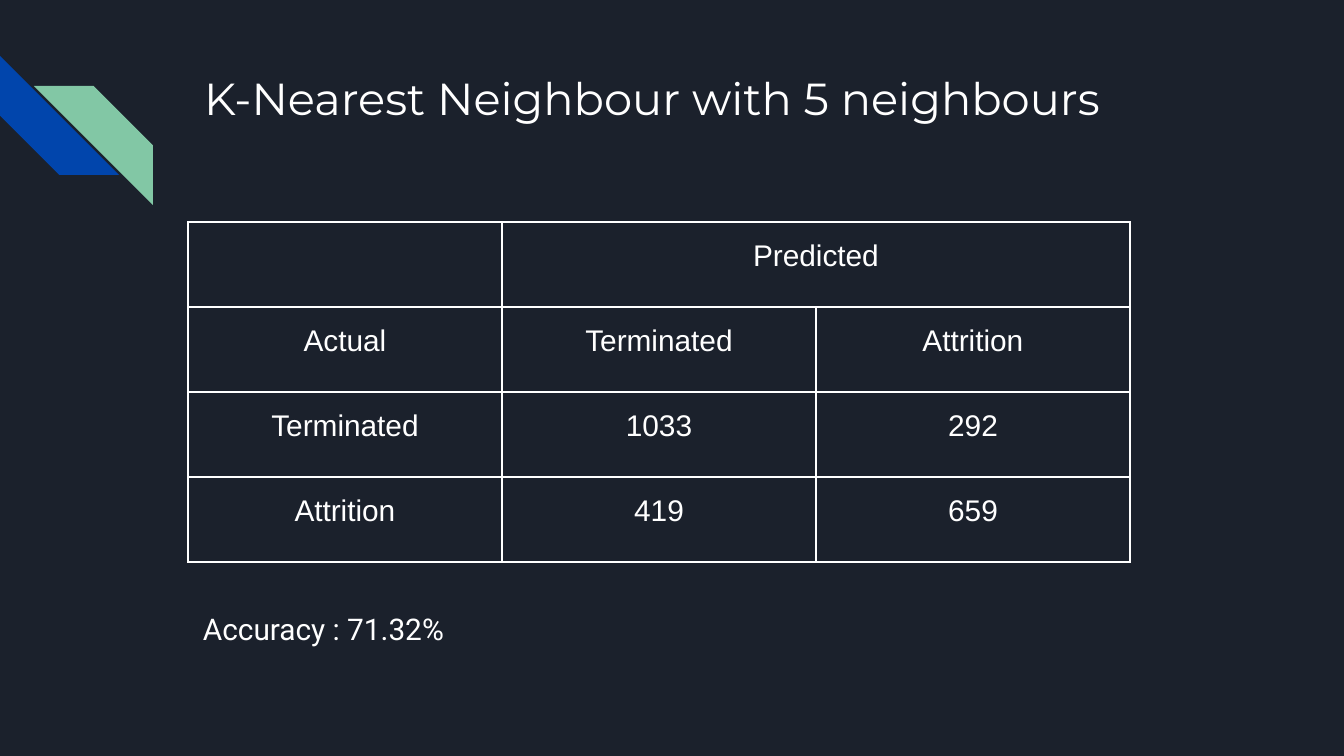
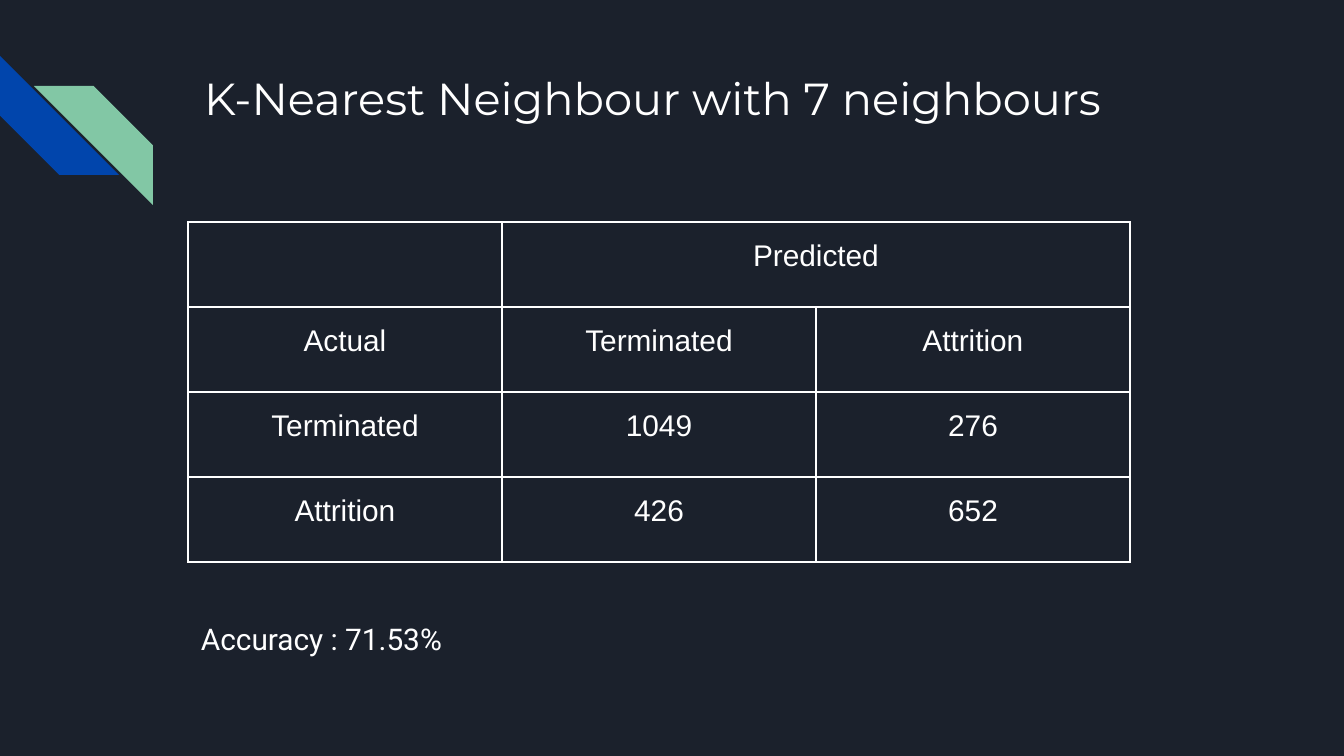
from lxml import etree
from pptx import Presentation
from pptx.dml.color import RGBColor
from pptx.enum.shapes import MSO_SHAPE
from pptx.enum.text import MSO_ANCHOR, MSO_AUTO_SIZE, PP_ALIGN
from pptx.oxml.ns import qn
from pptx.util import Pt

STRIPE = MSO_SHAPE.DIAGONAL_STRIPE
TOP = MSO_ANCHOR.TOP
LEFT, CENTER = PP_ALIGN.LEFT, PP_ALIGN.CENTER
NO_AUTOFIT = MSO_AUTO_SIZE.NONE

COLORS = {"background": "1B212C", "blue": "0145AC", "green": "82C7A5", "white": "FFFFFF"}
TITLE_FONT, TABLE_FONT, NOTE_FONT = "Montserrat", "Arial", "Roboto"
TITLE_LAYOUT = 5
INSET = 13
CELL_INSET = 9
BORDER = Pt(1)

# Boxes are left, top, width, height in px
SLIDE_SIZE = (1344, 756)
STRIPES_BOX = (0, 56, 153, 149)
TITLE_BOX = (191, 58, 1035, 134)
MATRIX_BOX = (188, 222, 942, 340)

RESULTS = [
    {
        "title": "K-Nearest Neighbour with 5 neighbours",
        "counts": [("1033", "292"), ("419", "659")],
        "accuracy": "Accuracy : 71.32%",
        "accuracy_box": (190, 598, 941, 101),
    },
    {
        "title": "K-Nearest Neighbour with 7 neighbours",
        "counts": [("1049", "276"), ("426", "652")],
        "accuracy": "Accuracy : 71.53%",
        "accuracy_box": (188, 608, 941, 108),
    },
]


def px(length):
    return round(length * 914400 / 134.4)


def emu(box):
    return [px(length) for length in box]


def color(name):
    return RGBColor.from_string(COLORS[name])


def write(frame, text, font, size, align=LEFT):
    paragraph = frame.paragraphs[0]
    paragraph.alignment = align
    run = paragraph.add_run()
    run.text = text
    run.font.name = font
    run.font.size = Pt(size)
    run.font.color.rgb = color("white")
    return paragraph


def set_frame(frame):
    frame.word_wrap = True
    frame.auto_size = NO_AUTOFIT
    frame.vertical_anchor = TOP
    frame.margin_left = frame.margin_right = px(INSET)
    frame.margin_top = frame.margin_bottom = px(INSET)


def add_stripes(slide, box):
    left, top, width, height = box
    side = 119

    def add_stripe(x, y, fill):
        stripe = slide.shapes.add_shape(STRIPE, *emu((x, y, side, side)))
        stripe.adjustments[0] = 0.5
        stripe.shadow.inherit = False
        stripe.fill.solid()
        stripe.fill.fore_color.rgb = color(fill)
        stripe.line.fill.background()
        return stripe

    add_stripe(left, top, "blue").rotation = 270
    green = add_stripe(left + width - side, top + height - side, "green")
    green._element.spPr.xfrm.set("flipH", "1")


def set_title(slide, box, text):
    title = slide.shapes.title
    title.left, title.top, title.width, title.height = emu(box)
    set_frame(title.text_frame)
    write(title.text_frame, text, TITLE_FONT, 24)


def add_borders(cell):
    properties = cell._tc.get_or_add_tcPr()
    for position, side in enumerate(("lnL", "lnR", "lnT", "lnB")):
        line = etree.Element(qn(f"a:{side}"), w=str(BORDER))
        fill = etree.SubElement(line, qn("a:solidFill"))
        etree.SubElement(fill, qn("a:srgbClr"), val=COLORS["white"])
        properties.insert(position, line)


def add_confusion_matrix(slide, box, counts):
    classes = ("Terminated", "Attrition")
    rows = [("", "Predicted", ""), ("Actual", *classes)]
    rows += [(name, *values) for name, values in zip(classes, counts)]

    matrix = slide.shapes.add_table(len(rows), len(rows[0]), *emu(box)).table
    matrix.first_row = matrix.horz_banding = False
    for r, row in enumerate(rows):
        for c, text in enumerate(row):
            cell = matrix.cell(r, c)
            cell.fill.background()
            add_borders(cell)
            cell.vertical_anchor = TOP
            cell.margin_left = cell.margin_right = px(CELL_INSET)
            cell.margin_top = cell.margin_bottom = px(INSET)
            if text:
                label = write(cell.text_frame, text, TABLE_FONT, 16, CENTER)
                label.line_spacing = 1.15
    # "Predicted" spans both class columns
    matrix.cell(0, 1).merge(matrix.cell(0, 2))


def add_accuracy(slide, box, text):
    accuracy = slide.shapes.add_textbox(*emu(box))
    set_frame(accuracy.text_frame)
    write(accuracy.text_frame, text, NOTE_FONT, 16)


def add_result_slide(prs, result):
    slide = prs.slides.add_slide(prs.slide_layouts[TITLE_LAYOUT])
    add_stripes(slide, STRIPES_BOX)
    set_title(slide, TITLE_BOX, result["title"])
    add_confusion_matrix(slide, MATRIX_BOX, result["counts"])
    add_accuracy(slide, result["accuracy_box"], result["accuracy"])


def main():
    prs = Presentation()
    prs.slide_width, prs.slide_height = emu(SLIDE_SIZE)
    # Shared background
    backdrop = prs.slide_master.background.fill
    backdrop.solid()
    backdrop.fore_color.rgb = color("background")
    for result in RESULTS:
        add_result_slide(prs, result)
    prs.save("out.pptx")


if __name__ == "__main__":
    main()
